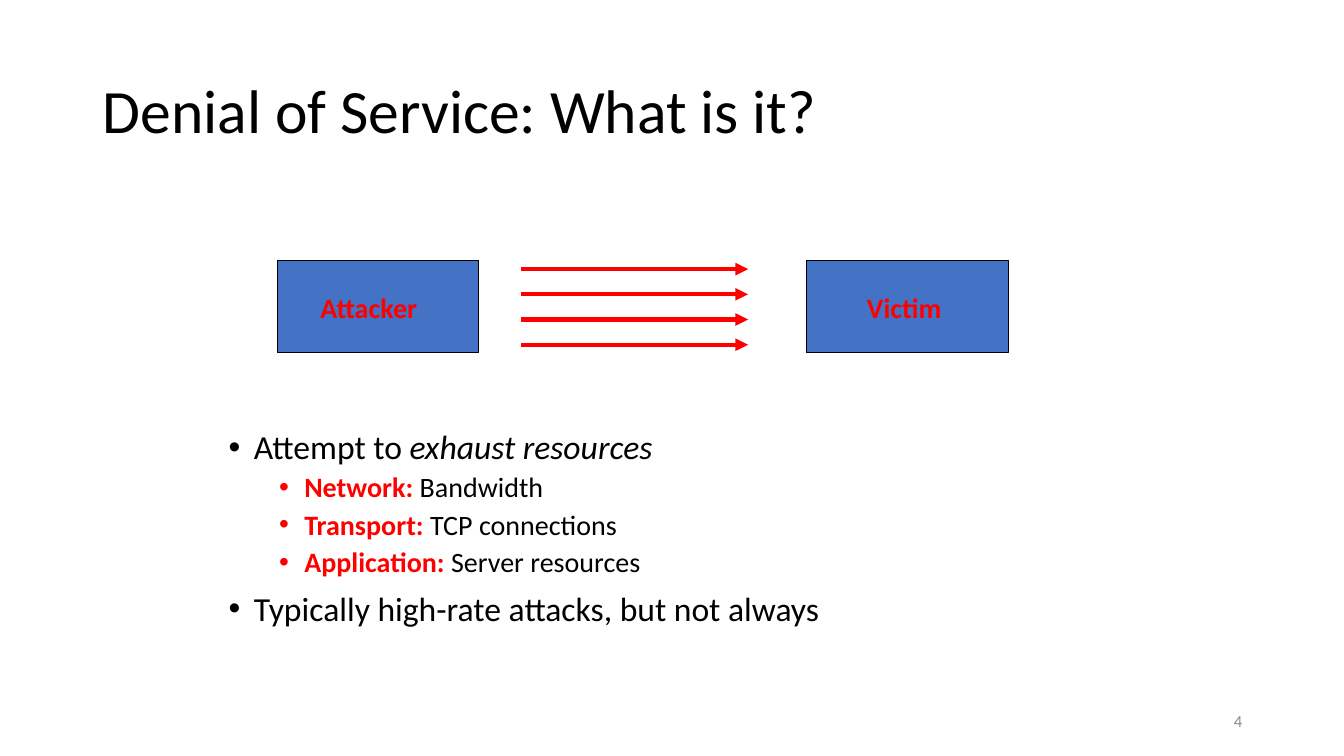
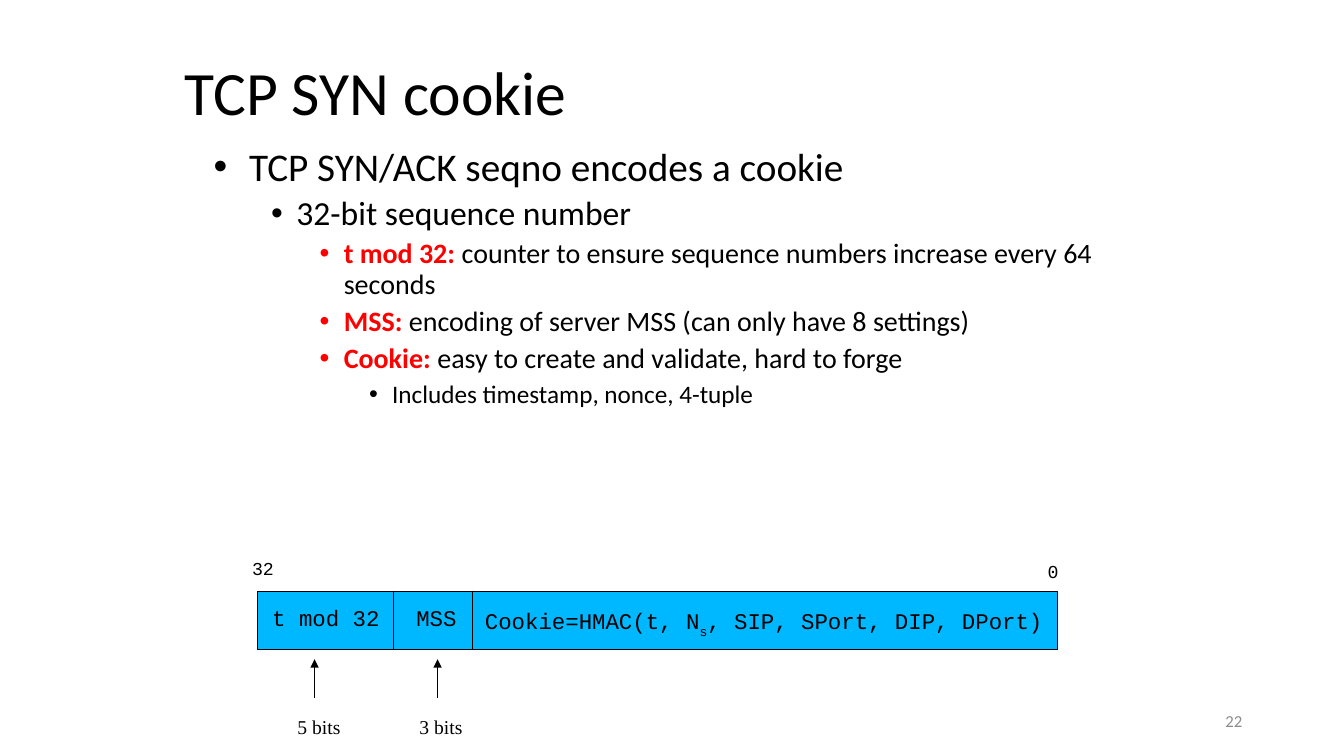
from dataclasses import dataclass

from lxml.etree import SubElement
from pptx import Presentation
from pptx.dml.color import RGBColor
from pptx.enum.shapes import MSO_CONNECTOR, MSO_SHAPE
from pptx.enum.text import MSO_ANCHOR, PP_ALIGN
from pptx.oxml.ns import qn
from pptx.util import Inches, Pt

COLORS = {
    "black": "000000",
    "red": "FF0000",
    "gray": "8C8C8C",
    "blue": "4472C4",
    "cyan": "00B8FF",
}
BODY_FONT = "Calibri"
CODE_FONT = "Courier New"
SERIF_FONT = "Times New Roman"


@dataclass(frozen=True)
class Run:
    text: str
    color: str | None = None
    bold: bool = False
    italic: bool = False
    baseline: int = 0


@dataclass(frozen=True)
class Level:
    margin: float
    hanging: float
    size: float
    before: float


@dataclass(frozen=True)
class Bullet:
    level: Level
    runs: tuple[Run, ...]


@dataclass(frozen=True)
class Label:
    left: float
    top: float
    width: float
    height: float
    runs: tuple[Run, ...]
    size: float
    font: str = CODE_FONT


def rgb(name: str) -> RGBColor:
    return RGBColor.from_string(COLORS[name])


# Text
def add_runs(paragraph, runs, *, size, font=BODY_FONT, color="black",
             spacing=0.9, before=0.0, align=PP_ALIGN.LEFT) -> None:
    paragraph.alignment = align
    paragraph.line_spacing = spacing
    paragraph.space_before = Pt(before)
    for item in runs:
        run = paragraph.add_run()
        run.text = item.text
        run.font.name = font
        run.font.size = Pt(size)
        run.font.bold = item.bold
        run.font.italic = item.italic
        run.font.color.rgb = rgb(item.color or color)
        if item.baseline:
            run._r.get_or_add_rPr().set("baseline", str(item.baseline * 1000))


def format_frame(shape, *, inset=True, wrap=True, anchor=MSO_ANCHOR.TOP):
    frame = shape.text_frame
    frame.word_wrap = wrap
    frame.vertical_anchor = anchor
    if not inset:
        frame.margin_left = frame.margin_right = Inches(0)
        frame.margin_top = frame.margin_bottom = Inches(0)
    return frame


def add_text_box(slide, left, top, width, height):
    return slide.shapes.add_textbox(Inches(left), Inches(top), Inches(width), Inches(height))


def add_text(slide, text, left, top, width, height, *, inset=True,
             anchor=MSO_ANCHOR.TOP, **style) -> None:
    box = add_text_box(slide, left, top, width, height)
    frame = format_frame(box, inset=inset, anchor=anchor)
    runs = (Run(text),) if isinstance(text, str) else text
    add_runs(frame.paragraphs[0], runs, **style)


def add_bullets(slide, bullets, left, top, width, height, *, inset=True) -> None:
    frame = format_frame(add_text_box(slide, left, top, width, height), inset=inset)
    for index, bullet in enumerate(bullets):
        paragraph = frame.add_paragraph() if index else frame.paragraphs[0]
        level = bullet.level
        add_runs(paragraph, bullet.runs, size=level.size, before=level.before)
        properties = paragraph._p.get_or_add_pPr()
        properties.set("marL", str(Inches(level.margin)))
        properties.set("indent", str(-Inches(level.hanging)))
        SubElement(properties, qn("a:buFont")).set("typeface", "Arial")
        SubElement(properties, qn("a:buChar")).set("char", "•")


def term(name: str, explanation: str) -> tuple[Run, ...]:
    return Run(name, color="red", bold=True), Run(explanation)


# Shapes
def add_box(slide, left, top, width, height, fill=None, *, rounded=False):
    preset = MSO_SHAPE.ROUNDED_RECTANGLE if rounded else MSO_SHAPE.RECTANGLE
    shape = slide.shapes.add_shape(
        preset, Inches(left), Inches(top), Inches(width), Inches(height))
    shape.shadow.inherit = False
    if rounded:
        shape.adjustments[0] = 0
    if fill:
        shape.fill.solid()
        shape.fill.fore_color.rgb = rgb(fill)
        shape.line.color.rgb = rgb("black")
        shape.line.width = Pt(0.75)
    else:
        shape.fill.background()
        shape.line.fill.background()
    return shape


def add_label(slide, label: Label) -> None:
    shape = add_box(slide, label.left, label.top, label.width, label.height, rounded=True)
    frame = format_frame(shape, inset=False, wrap=False)
    add_runs(frame.paragraphs[0], label.runs, size=label.size, font=label.font, spacing=0.94)


def add_line(slide, start, end, *, color="black", width=0.75, arrow=False) -> None:
    connector = slide.shapes.add_connector(
        MSO_CONNECTOR.STRAIGHT, *(Inches(value) for value in (*start, *end)))
    connector.line.color.rgb = rgb(color)
    connector.line.width = Pt(width)
    if arrow:
        SubElement(connector.line._get_or_add_ln(), qn("a:tailEnd")).set("type", "triangle")
    SubElement(connector._element.spPr, qn("a:effectLst"))


# Shared title and slide number
def start_slide(presentation, title, number, *title_area, inset=True):
    slide = presentation.slides.add_slide(presentation.slide_layouts[6])
    add_text(slide, str(number), 9.42, 6.95, 3, 0.4, size=12, color="gray", spacing=1.0,
             align=PP_ALIGN.RIGHT, anchor=MSO_ANCHOR.MIDDLE)
    add_text(slide, title, *title_area, size=44, inset=inset, anchor=MSO_ANCHOR.MIDDLE)
    return slide


def build_denial_slide(presentation) -> None:
    slide = start_slide(presentation, "Denial of Service: What is it?", 4, 0.92, 0.4, 11.5, 1.45)
    main_level = Level(0.25, 0.25, 24, 10)
    detail = Level(0.75, 0.25, 20, 5)
    add_bullets(slide, (
        Bullet(main_level, (Run("Attempt to "), Run("exhaust resources", italic=True))),
        Bullet(detail, term("Network:", " Bandwidth")),
        Bullet(detail, term("Transport:", " TCP connections")),
        Bullet(detail, term("Application:", " Server resources")),
        Bullet(main_level, (Run("Typically high-rate attacks, but not always"),)),
    ), 2.17, 4.22, 9, 2.28)

    # Attacker floods victim
    for name, box_left, name_left in (("Attacker", 2.75, 3.08), ("Victim", 8, 8.5)):
        add_box(slide, box_left, 2.58, 2, 0.92, "blue")
        add_text(slide, (Run(name, bold=True),), name_left, 2.83, 1.75, 0.44,
                 size=20, color="red", spacing=1.0)
    for index in range(4):
        top = 2.67 + 0.25 * index
        add_line(slide, (5.17, top), (7.42, top), color="red", width=3, arrow=True)


def build_cookie_slide(presentation) -> None:
    slide = start_slide(presentation, "TCP SYN cookie", 22, 1.83, 0.32, 9.59, 1.25, inset=False)
    field = Level(1.41, 0.24, 20, 5)
    add_bullets(slide, (
        Bullet(Level(0.47, 0.35, 28, 10), (Run("TCP SYN/ACK seqno encodes a cookie"),)),
        Bullet(Level(0.94, 0.25, 24, 5), (Run("32-bit sequence number"),)),
        Bullet(field, term("t mod 32:",
                           " counter to ensure sequence numbers increase every 64 seconds")),
        Bullet(field, term("MSS:", " encoding of server MSS (can only have 8 settings)")),
        Bullet(field, term("Cookie:", " easy to create and validate, hard to forge")),
        Bullet(Level(1.89, 0.23, 18, 5), (Run("Includes timestamp, nonce, 4-tuple"),)),
    ), 2, 1.46, 9, 4.95, inset=False)

    # Sequence number layout
    add_box(slide, 2.55, 5.87, 7.94, 0.57, "cyan", rounded=True)
    for divider in (3.9, 4.69):
        add_line(slide, (divider, 5.86), (divider, 6.44))
    for pointer in (3.12, 4.34):
        add_line(slide, (pointer, 6.92), (pointer, 6.54), arrow=True)
    hash_runs = (Run("Cookie=HMAC(t, N"), Run("s", baseline=-33),
                 Run(", SIP, SPort, DIP, DPort)"))
    for label in (
        Label(2.5, 5.55, 0.22, 0.21, (Run("32"),), 13),
        Label(10.39, 5.58, 0.11, 0.21, (Run("0"),), 13),
        Label(2.7, 6.02, 1.08, 0.26, (Run("t mod 32"),), 16),
        Label(4.13, 6.02, 0.4, 0.26, (Run("MSS"),), 16),
        Label(4.81, 6.02, 5.62, 0.26, hash_runs, 16),
        Label(2.95, 7.11, 0.43, 0.22, (Run("5 bits"),), 14, SERIF_FONT),
        Label(4.16, 7.11, 0.43, 0.22, (Run("3 bits"),), 14, SERIF_FONT),
    ):
        add_label(slide, label)


def main() -> None:
    presentation = Presentation()
    presentation.slide_width = Inches(13.33)
    presentation.slide_height = Inches(7.5)
    build_denial_slide(presentation)
    build_cookie_slide(presentation)
    presentation.save("out.pptx")


if __name__ == "__main__":
    main()
